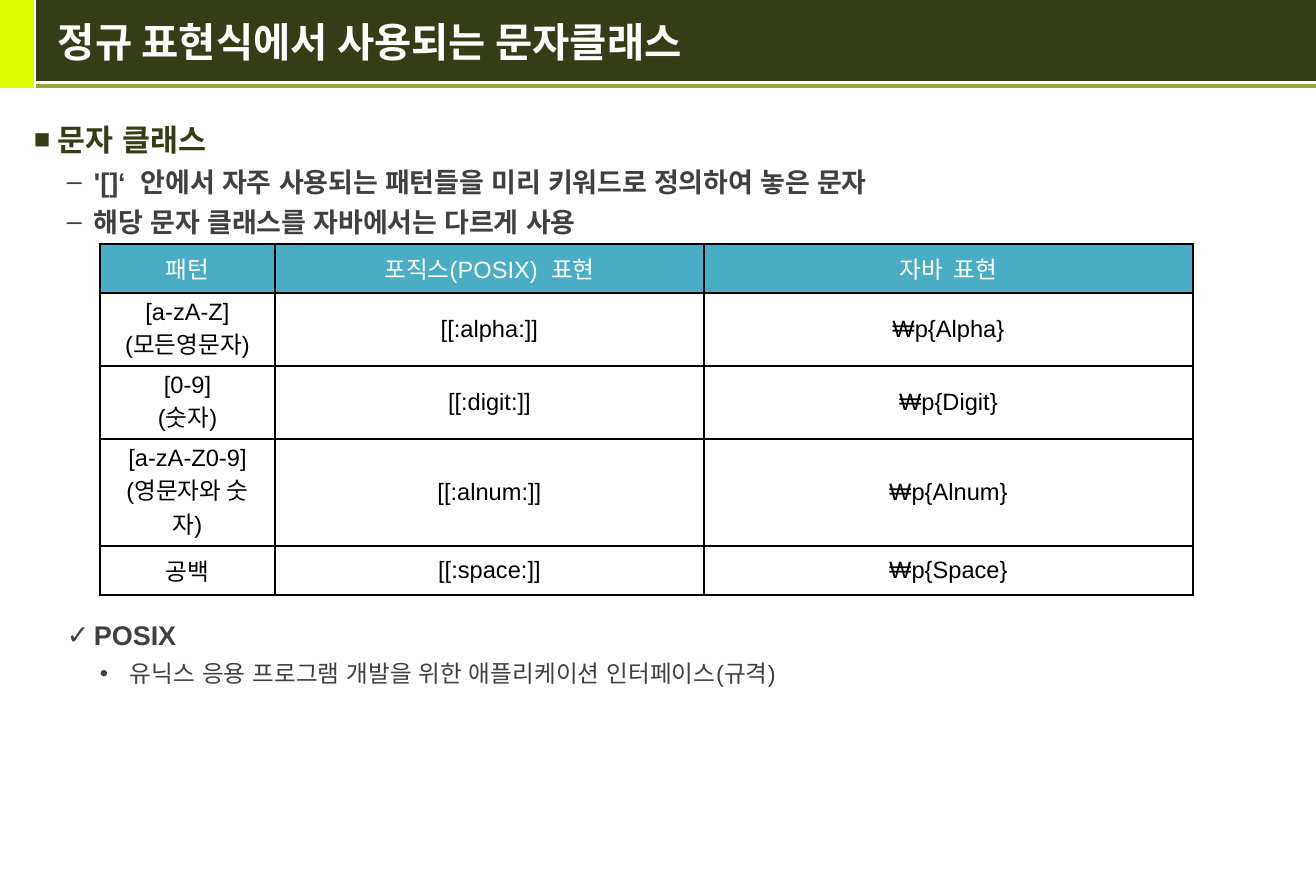
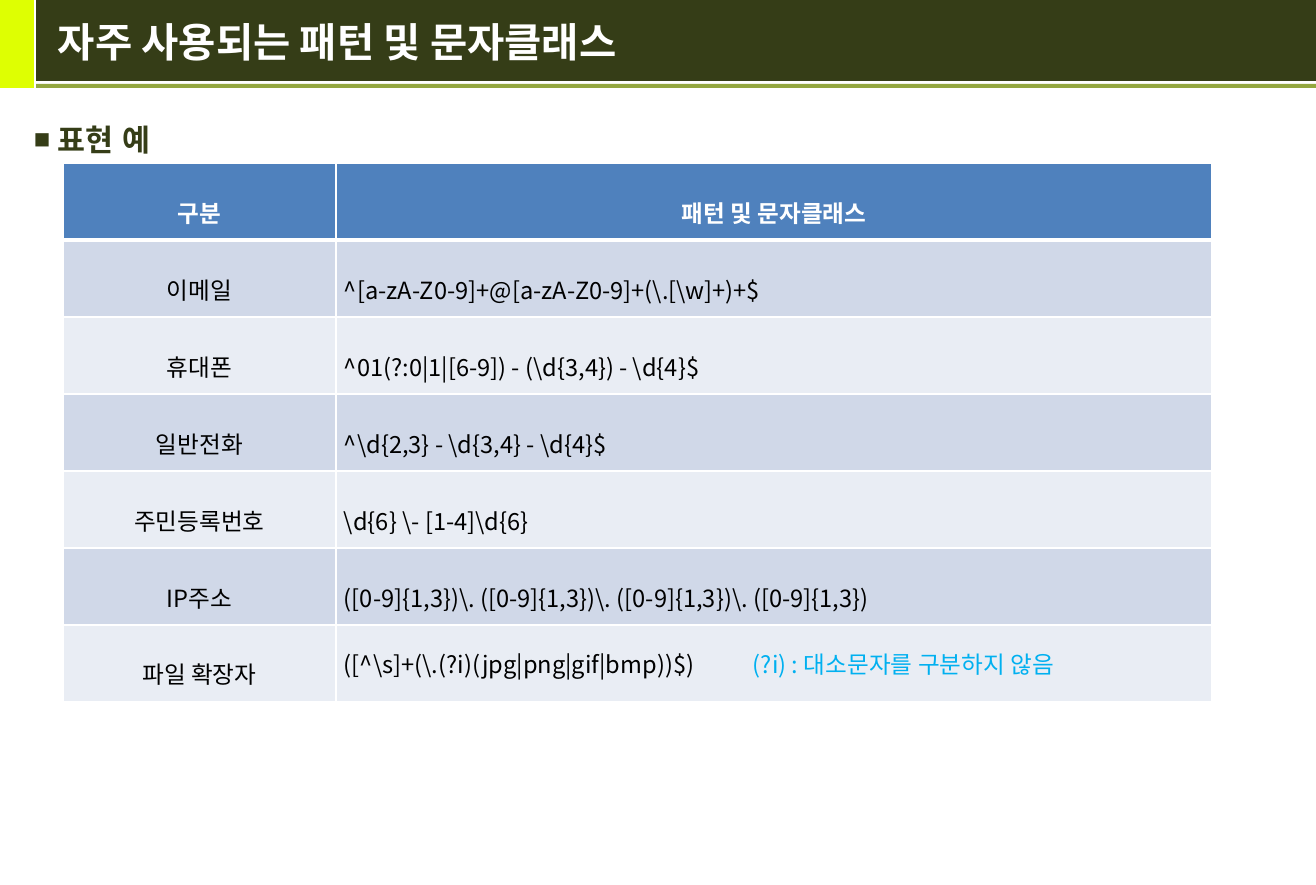
from pptx import Presentation
from pptx.dml.color import RGBColor
from pptx.enum.shapes import MSO_SHAPE
from pptx.enum.text import MSO_ANCHOR, PP_ALIGN
from pptx.oxml import parse_xml
from pptx.oxml.ns import nsdecls, qn
from pptx.util import Pt

EMU_PER_PX = 7526
PAGE_W, PAGE_H = 1316, 885
RECTANGLE = MSO_SHAPE.RECTANGLE
MIDDLE, TOP = MSO_ANCHOR.MIDDLE, MSO_ANCHOR.TOP
CENTER, LEFT, JUSTIFY = PP_ALIGN.CENTER, PP_ALIGN.LEFT, PP_ALIGN.JUSTIFY

LATIN, KOREAN = "Arial", "Noto Sans CJK KR"
WHITE = RGBColor(0xFF, 0xFF, 0xFF)
BLACK = RGBColor(0x00, 0x00, 0x00)
LIME = RGBColor(0xDE, 0xFF, 0x02)
OLIVE = RGBColor(0x35, 0x3D, 0x17)
MOSS = RGBColor(0x93, 0xA7, 0x3F)
GRAY = RGBColor(0x40, 0x40, 0x40)
TEAL = RGBColor(0x4B, 0xAC, 0xC6)
BLUE = RGBColor(0x4F, 0x81, 0xBD)
BAND_DARK = RGBColor(0xD0, 0xD8, 0xE8)
BAND_LIGHT = RGBColor(0xE9, 0xED, 0xF4)
SKY = RGBColor(0x00, 0xB0, 0xF0)

HEADER_BANDS = [
    ((0, 0, 34, 88), LIME),
    ((36, 0, 1280, 81), OLIVE),
    ((36, 84, 1280, 4), MOSS),
]
TITLE_AREA = (46, 0, 1254, 83)
BODY_X, BODY_Y, BODY_W = 22, 108, 1258

# bullet, bullet size %, left margin px, hanging px, size pt, bold, colour, line spacing
LEVELS = {
    "heading": ("■", 90, 24, 24, 18, True, OLIVE, 1.2),
    "dash": ("–", 100, 60, 27, 16, True, GRAY, 1.0),
    "check": ("✓", 100, 60, 27, 16, True, GRAY, 1.0),
    "dot": ("•", 100, 96, 30, 14, False, GRAY, 1.0),
}

CLASSES_TITLE = "정규 표현식에서 사용되는 문자클래스"
CLASSES_INTRO = [
    ("heading", "문자 클래스"),
    ("dash", "'[]‘  안에서 자주 사용되는 패턴들을 미리 키워드로 정의하여 놓은 문자"),
    ("dash", "해당 문자 클래스를 자바에서는 다르게 사용"),
]
CLASSES_NOTE = [
    ("check", "POSIX"),
    ("dot", "유닉스 응용 프로그램 개발을 위한 애플리케이션 인터페이스(규격)"),
]
CLASSES_ROWS = [
    ("패턴", "포직스(POSIX)  표현", "자바  표현"),
    ("[a-zA-Z]\n(모든영문자)", "[[:alpha:]]", "₩p{Alpha}"),
    ("[0-9]\n(숫자)", "[[:digit:]]", "₩p{Digit}"),
    ("[a-zA-Z0-9]\n(영문자와 숫자)", "[[:alnum:]]", "₩p{Alnum}"),
    ("공백", "[[:space:]]", "₩p{Space}"),
]
CLASSES_COLUMNS = (175, 429, 489)
CLASSES_HEIGHTS = (49, 73, 73, 107, 49)

EXAMPLES_TITLE = "자주 사용되는 패턴 및 문자클래스"
EXAMPLES_INTRO = [("heading", "표현 예")]
EXAMPLES_ROWS = [
    ("구분", "패턴 및 문자클래스"),
    ("이메일", r"^[a-zA-Z0-9]+@[a-zA-Z0-9]+(\.[\w]+)+$"),
    ("휴대폰", r"^01(?:0|1|[6-9]) - (\d{3,4}) - \d{4}$"),
    ("일반전화", r"^\d{2,3} - \d{3,4} - \d{4}$"),
    ("주민등록번호", r"\d{6} \- [1-4]\d{6}"),
    ("IP주소", r"([0-9]{1,3})\. ([0-9]{1,3})\. ([0-9]{1,3})\. ([0-9]{1,3})"),
    ("파일 확장자", r"([^\s]+(\.(?i)(jpg|png|gif|bmp))$)"),
]
EXTENSION_REMARK = "(?i) : 대소문자를 구분하지 않음"
REMARK_TAB = 409
EXAMPLES_COLUMNS = (273, 876)
EXAMPLES_ROW_H = 77


def px(length):
    return length * EMU_PER_PX


def area(left, top, width, height):
    return px(left), px(top), px(width), px(height)


def element(tag, content="", **attributes):
    listed = "".join(f' {name}="{value}"' for name, value in attributes.items())
    return parse_xml(f"<a:{tag} {nsdecls('a')}{listed}>{content}</a:{tag}>")


def style(paragraph, size, color, bold=False, latin=KOREAN, korean=KOREAN):
    """Set the paragraph font, for Latin and for Korean text."""
    font = paragraph.font
    font.size, font.bold, font.name = Pt(size), bold, latin
    font.color.rgb = color
    defaults(paragraph).append(element("ea", typeface=korean))


def defaults(paragraph):
    """Return the element that holds the paragraph's font settings."""
    return paragraph._p.pPr.find(qn("a:defRPr"))


def add_bullet(paragraph, bullet, percent, margin, hanging, color):
    properties = paragraph._p.pPr
    properties.set("marL", str(px(margin)))
    properties.set("indent", str(-px(hanging)))
    for part in (
        element("buClr", f'<a:srgbClr val="{color}"/>'),
        element("buSzPct", val=percent * 1000),
        element("buFont", typeface=LATIN),
        element("buChar", char=bullet),
    ):
        defaults(paragraph).addprevious(part)


def add_text_box(page, bounds, anchor):
    box = page.shapes.add_textbox(*area(*bounds))
    box.text_frame.word_wrap = True
    box.text_frame.vertical_anchor = anchor
    return box.text_frame


def add_page(deck, title):
    """Add a page with the header bands and its title."""
    page = deck.slides.add_slide(deck.slide_layouts[6])
    for bounds, color in HEADER_BANDS:
        band = page.shapes.add_shape(RECTANGLE, *area(*bounds))
        band.shadow.inherit = False
        band.fill.solid()
        band.fill.fore_color.rgb = color
        band.line.fill.background()
    frame = add_text_box(page, TITLE_AREA, MIDDLE)
    frame.text = title
    style(frame.paragraphs[0], 24, WHITE, bold=True)
    return page


def add_outline(page, top, height, items):
    frame = add_text_box(page, (BODY_X, top, BODY_W, height), TOP)
    frame.text = "\n".join(text for _, text in items)
    for index, (paragraph, (level, _)) in enumerate(zip(frame.paragraphs, items)):
        bullet, percent, margin, hanging, size, bold, color, spacing = LEVELS[level]
        paragraph.line_spacing = spacing
        paragraph.space_before = Pt(4.5 if index else 0)
        style(paragraph, size, color, bold, LATIN, LATIN)
        add_bullet(paragraph, bullet, percent, margin, hanging, color)


def set_borders(cell, color, top=1, bottom=1):
    fill = f'<a:solidFill><a:srgbClr val="{color}"/></a:solidFill>'
    for side, width in (("L", 1), ("R", 1), ("T", top), ("B", bottom)):
        cell._tc.get_or_add_tcPr().append(element(f"ln{side}", fill, w=Pt(width)))


def set_fill(cell, color):
    cell.fill.solid()
    cell.fill.fore_color.rgb = color


def add_table(page, left, top, columns, heights, rows):
    """Add a plain table with its text in place, vertically centred."""
    bounds = area(left, top, sum(columns), sum(heights))
    table = page.shapes.add_table(len(rows), len(columns), *bounds).table
    table.first_row = table.horz_banding = False
    for column, width in zip(table.columns, columns):
        column.width = px(width)
    for row, height, texts in zip(table.rows, heights, rows):
        row.height = px(height)
        for cell, text in zip(row.cells, texts):
            cell.text = text
            cell.vertical_anchor = MIDDLE
    return table


def build_classes_page(deck):
    page = add_page(deck, CLASSES_TITLE)
    add_outline(page, BODY_Y, 130, CLASSES_INTRO)
    table = add_table(page, 100, 244, CLASSES_COLUMNS, CLASSES_HEIGHTS, CLASSES_ROWS)
    for index, row in enumerate(table.rows):
        for cell in row.cells:
            set_borders(cell, BLACK)
            if index == 0:
                set_fill(cell, TEAL)
            else:
                cell.fill.background()
            for paragraph in cell.text_frame.paragraphs:
                paragraph.alignment = CENTER
                style(paragraph, 14, BLACK if index else WHITE, latin=LATIN)
    add_outline(page, 613, 80, CLASSES_NOTE)


def build_examples_page(deck):
    page = add_page(deck, EXAMPLES_TITLE)
    add_outline(page, BODY_Y, 50, EXAMPLES_INTRO)
    heights = [EXAMPLES_ROW_H] * len(EXAMPLES_ROWS)
    table = add_table(page, 63, 163, EXAMPLES_COLUMNS, heights, EXAMPLES_ROWS)
    for index, row in enumerate(table.rows):
        is_header = index == 0
        band = BLUE if is_header else BAND_DARK if index % 2 else BAND_LIGHT
        for position, cell in enumerate(row.cells):
            cell.margin_left = cell.margin_right = px(8)
            cell.margin_top = cell.margin_bottom = px(2)
            set_borders(cell, WHITE, 3 if index == 1 else 1, 3 if is_header else 1)
            set_fill(cell, band)
            paragraph = cell.text_frame.paragraphs[0]
            paragraph.alignment = JUSTIFY if position and not is_header else CENTER
            paragraph.line_spacing = 1.6
            style(paragraph, 14, WHITE if is_header else BLACK, is_header)

    extension = table.cell(len(EXAMPLES_ROWS) - 1, 1).text_frame.paragraphs[0]
    extension.alignment = LEFT
    extension.line_spacing = 1.0
    stop = f'<a:tab pos="{px(REMARK_TAB)}" algn="l"/>'
    defaults(extension).addprevious(element("tabLst", stop))
    remark = extension.add_run()
    remark.text = "\t" + EXTENSION_REMARK
    remark.font.color.rgb = SKY


def main():
    deck = Presentation()
    deck.slide_width, deck.slide_height = px(PAGE_W), px(PAGE_H)
    build_classes_page(deck)
    build_examples_page(deck)
    deck.save("out.pptx")


if __name__ == "__main__":
    main()
